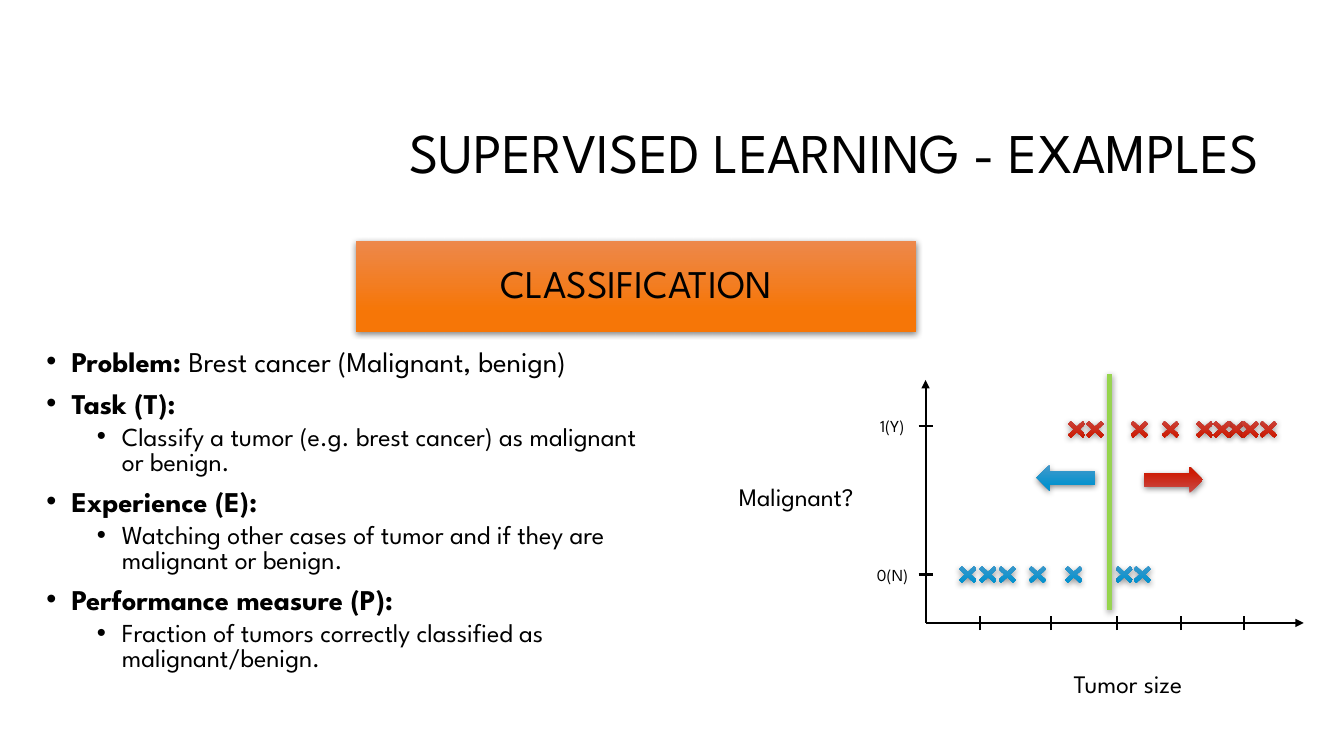
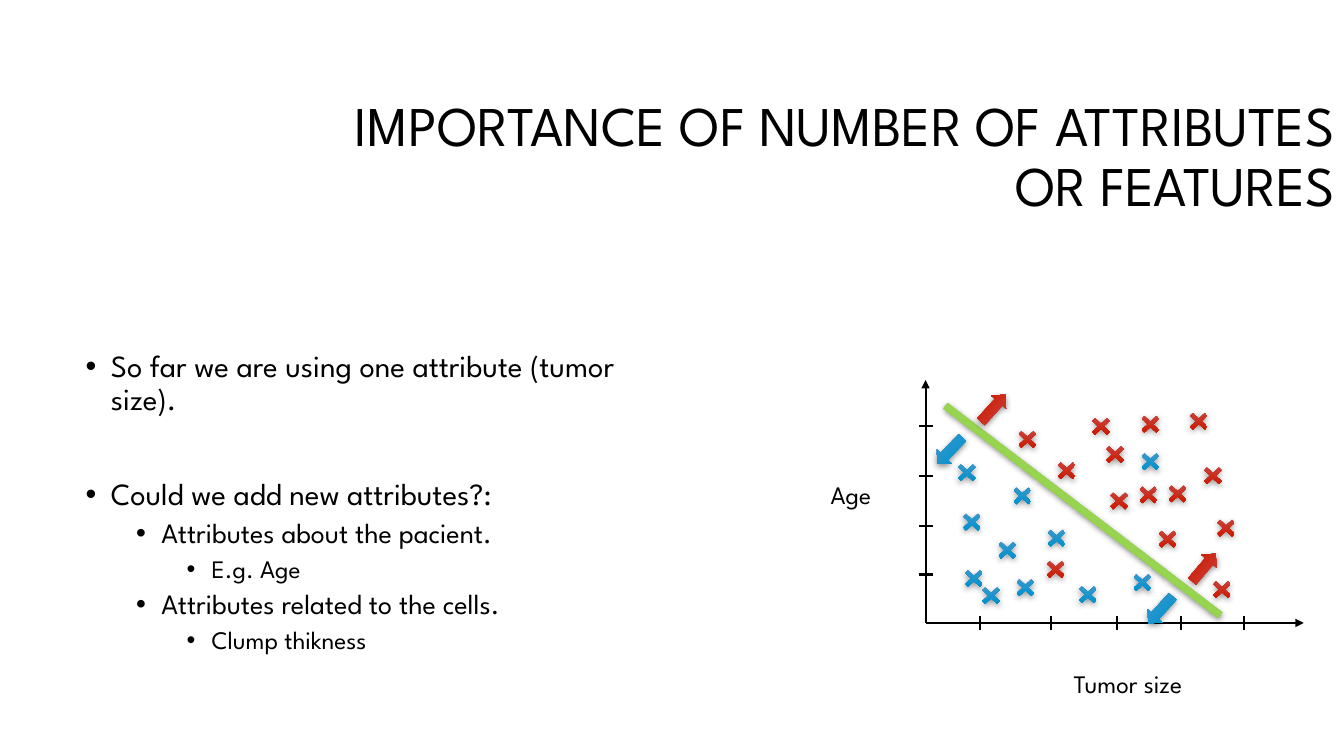
import pptx
import pptx.util
import pptx.dml.color
import pptx.enum.shapes
import pptx.enum.text
import pptx.oxml.ns
import lxml.etree

WIDE, HIGH = 13.33, 7.5
FONT = "League Spartan"
INK = "000000"
# Gradients, top to bottom
BLUE = ("4899CA", "0492CE")
RED = ("C94D48", "CD1B04")
GREEN = ("9ED365", "93D543")
ORANGE = ("ED884B", "F67607")
# The plot area, measured in cells
PLOT = (9.18, 3.77, 3.75, 2.41)
COLS = 37.5

KIND = pptx.enum.shapes.MSO_SHAPE
ALIGN = pptx.enum.text.PP_ALIGN
ANCHOR = pptx.enum.text.MSO_ANCHOR
FIT = pptx.enum.text.MSO_AUTO_SIZE
Inch = pptx.util.Inches


def color(code):
    return pptx.dml.color.RGBColor.from_string(code)


def node(parent, tag, **attrs):
    item = lxml.etree.SubElement(parent, pptx.oxml.ns.qn(tag))
    for name, value in attrs.items():
        item.set(name, str(value))
    return item


def style(para, size, bold=None):
    font = para.font
    font.name, font.size, font.bold = FONT, pptx.util.Pt(size), bold
    font.color.rgb = color(INK)


def place(shape, box):
    shape.left, shape.top, shape.width, shape.height = map(Inch, box)


def glossy(shape, shades):
    """Vertical gradient, no outline, soft shadow below."""
    shape.fill.gradient()
    shape.fill.gradient_angle = 270
    for stop, code, pos in zip(shape.fill.gradient_stops, shades, (0, 0.78)):
        stop.color.rgb = color(code)
        stop.position = pos
    shape.line.fill.background()
    shape.shadow.inherit = False
    effects = shape._element.spPr.find(pptx.oxml.ns.qn("a:effectLst"))
    shade = node(effects, "a:outerShdw", blurRad=57150, dist=19050,
                 dir=5400000, algn="ctr", rotWithShape=0)
    node(node(shade, "a:srgbClr", val=INK), "a:alpha", val=48000)


def title(slide, text, box):
    head = slide.shapes.title
    place(head, box)
    frame = head.text_frame
    frame.text = text
    frame.auto_size = FIT.NONE
    frame.vertical_anchor = ANCHOR.MIDDLE
    para = frame.paragraphs[0]
    para.alignment = ALIGN.RIGHT
    para.line_spacing = 0.9
    style(para, 40)


def banner(slide, holder, text, box):
    place(holder, box)
    glossy(holder, ORANGE)
    frame = holder.text_frame
    frame.text = text
    frame.auto_size = FIT.NONE
    frame.vertical_anchor = ANCHOR.MIDDLE
    para = frame.paragraphs[0]
    para.alignment = ALIGN.CENTER
    para.line_spacing = 0.9
    props = para._p.get_or_add_pPr()
    props.set("marL", "0")
    props.set("indent", "0")
    node(props, "a:buNone")
    style(para, 28)


def bullets(holder, box, items, sizes, spacing):
    """Items are (level, text, bold, space before or None, plain tail)."""
    place(holder, box)
    frame = holder.text_frame
    frame.auto_size = FIT.NONE
    frame.vertical_anchor = ANCHOR.TOP
    for i, (level, text, bold, gap, tail) in enumerate(items):
        para = frame.add_paragraph() if i else frame.paragraphs[0]
        para.level = level
        para.line_spacing = spacing
        para.space_before = pptx.util.Pt(gap or (5 if level else 10))
        props = para._p.get_or_add_pPr()
        props.set("marL", str(Inch(0.25 + 0.5 * level)))
        props.set("indent", str(-Inch(0.25)))
        node(props, "a:buFont", typeface="Arial")
        node(props, "a:buChar", char="•")
        style(para, sizes[level], bold)
        para.add_run().text = text
        if tail:
            run = para.add_run()
            run.text = tail
            run.font.bold = False


def plot(slide, box, rows, labels, marks, divider, arrows, arrow_size):
    """Scatter drawing; x and y count cells from the crossing of the axes."""
    left, top, width, height = box
    cell = width / COLS
    peak = height / cell

    def spot(x, y):
        return Inch(left + x * cell), Inch(top + height - y * cell)

    def line(start, end, arrow=False):
        link = slide.shapes.add_connector(
            pptx.enum.shapes.MSO_CONNECTOR.STRAIGHT, *spot(*start), *spot(*end))
        link.line.color.rgb = color(INK)
        link.line.width = pptx.util.Pt(1.5)
        if arrow:
            node(link.line._get_or_add_ln(), "a:tailEnd", type="triangle")
        node(link._element.spPr, "a:effectLst")

    def piece(kind, x, y, size, shades, turn=0):
        wide, high = size
        shape = slide.shapes.add_shape(
            kind, *spot(x - wide / 2, y + high / 2),
            Inch(wide * cell), Inch(high * cell))
        shape.rotation = turn
        glossy(shape, shades)
        return shape

    # Axes and ticks
    line((0, 0), (COLS, 0), True)
    line((0, 0), (0, peak), True)
    for x in (5.4, 12.4, 19, 25.3, 31.6):
        line((x, -0.7), (x, 0.7))
    for y in rows:
        line((-0.7, y), (0.7, y))

    # Labels
    for text, x, y, wide, size in [("Tumor size", 13.7, -4, 14.3, 18)] + labels:
        note = slide.shapes.add_textbox(
            *spot(x, y), Inch(wide * cell), Inch(0.4 if size > 12 else 0.3))
        frame = note.text_frame
        frame.word_wrap = False
        frame.auto_size = FIT.SHAPE_TO_FIT_TEXT
        frame.text = text
        style(frame.paragraphs[0], size)

    # Crosses, divider and arrows
    for shades, points in marks:
        for x, y in points:
            cross = piece(KIND.MATH_MULTIPLY, x, y, (2.8, 2.6), shades)
            cross.adjustments[0] = 0.147
    x, y, size, turn = divider
    piece(KIND.MATH_MINUS, x, y, size, GREEN, turn)
    for x, y, shades, turn in arrows:
        piece(KIND.LEFT_ARROW, x, y, arrow_size, shades, turn)


def examples(deck):
    slide = deck.slides.add_slide(deck.slide_layouts[3])
    title(slide, "SUPERVISED LEARNING - EXAMPLES", (3.17, 0.83, 9.42, 1.42))
    banner(slide, slide.placeholders[1], "CLASSIFICATION",
           (3.53, 2.39, 5.56, 0.9))
    bullets(slide.placeholders[2], (0.36, 3.43, 6.2, 3.37), [
        (0, "Problem: ", True, None, "Brest cancer (Malignant, benign)"),
        (0, "Task (T):", True, None, ""),
        (1, "Classify a tumor (e.g. brest cancer) as malignant or benign.",
         False, None, ""),
        (0, "Experience (E):", True, None, ""),
        (1, "Watching other cases of tumor and if they are malignant or benign.",
         False, None, ""),
        (0, "Performance measure (P):", True, None, ""),
        (1, "Fraction of tumors correctly classified as malignant/benign.",
         False, None, ""),
    ], (20.4, 18.5), 0.8)
    no, yes = 4.8, 19.5
    blue = [(x, no) for x in (4.2, 8.1, 11.1, 6.2, 19.7, 14.7, 21.5)]
    red = [(x, yes - 0.3)
           for x in (15, 21.2, 16.8, 24.3, 27.7, 30.8, 34, 32.2, 29.4)]
    plot(slide, PLOT, (no, yes),
         [("Malignant?", -19.5, 14.5, 15.9, 18),
          ("0(N)", -5.8, no + 1.5, 5.4, 12),
          ("1(Y)", -5.5, yes + 1.5, 5.2, 12)],
         [(BLUE, blue), (RED, red)],
         (18.25, 13, (31.9, 1.8), 90),
         [(13.9, 14.4, BLUE, 0), (24.6, 14.2, RED, 180)], (5.8, 2.6))


def features(deck):
    slide = deck.slides.add_slide(deck.slide_layouts[1])
    title(slide, "IMPORTANCE OF NUMBER OF ATTRIBUTES OR FEATURES",
          (2.68, 0.86, 10.66, 1.42))
    bullets(slide.placeholders[1], (0.75, 3.43, 5.81, 3.37), [
        (0, "So far we are using one attribute (tumor size).", False, None, ""),
        (0, "Could we add new attributes?:", False, 44, ""),
        (1, "Attributes about the pacient.", False, None, ""),
        (2, "E.g. Age", False, None, ""),
        (1, "Attributes related to the cells.", False, None, ""),
        (2, "Clump thikness", False, None, ""),
    ], (22, 20, 18), 0.9)
    blue = [(4.8, 4.4), (9.9, 3.5), (4.6, 10), (8.1, 7.2), (4.1, 14.9),
            (9.6, 12.6), (13, 8.4), (16.1, 2.8), (6.5, 2.7), (21.5, 4),
            (22.3, 16)]
    red = [(12.9, 5.3), (10.1, 18.2), (14, 15.1), (17.4, 19.5), (27.1, 20),
           (28.5, 14.6), (19.2, 12.1), (24, 8.3), (29.4, 3.3), (29.8, 9.4),
           (25, 12.8), (22.3, 19.7), (22.1, 12.7), (18.8, 16.7)]
    plot(slide, PLOT, (4.8, 9.6, 14.6, 19.5),
         [("Age", -10.4, 14.7, 7.2, 18)],
         [(BLUE, blue), (RED, red)],
         (15.6, 11.15, (46.6, 2.9), 37.3),
         [(2.4, 17.1, BLUE, 313.9), (23.3, 1.3, BLUE, 312.1),
          (6.7, 21.3, RED, 132.1), (27.6, 5.5, RED, 130.3)], (3.6, 2))


def main():
    deck = pptx.Presentation()
    deck.slide_width, deck.slide_height = Inch(WIDE), Inch(HIGH)
    examples(deck)
    features(deck)
    deck.save("out.pptx")


if __name__ == "__main__":
    main()
